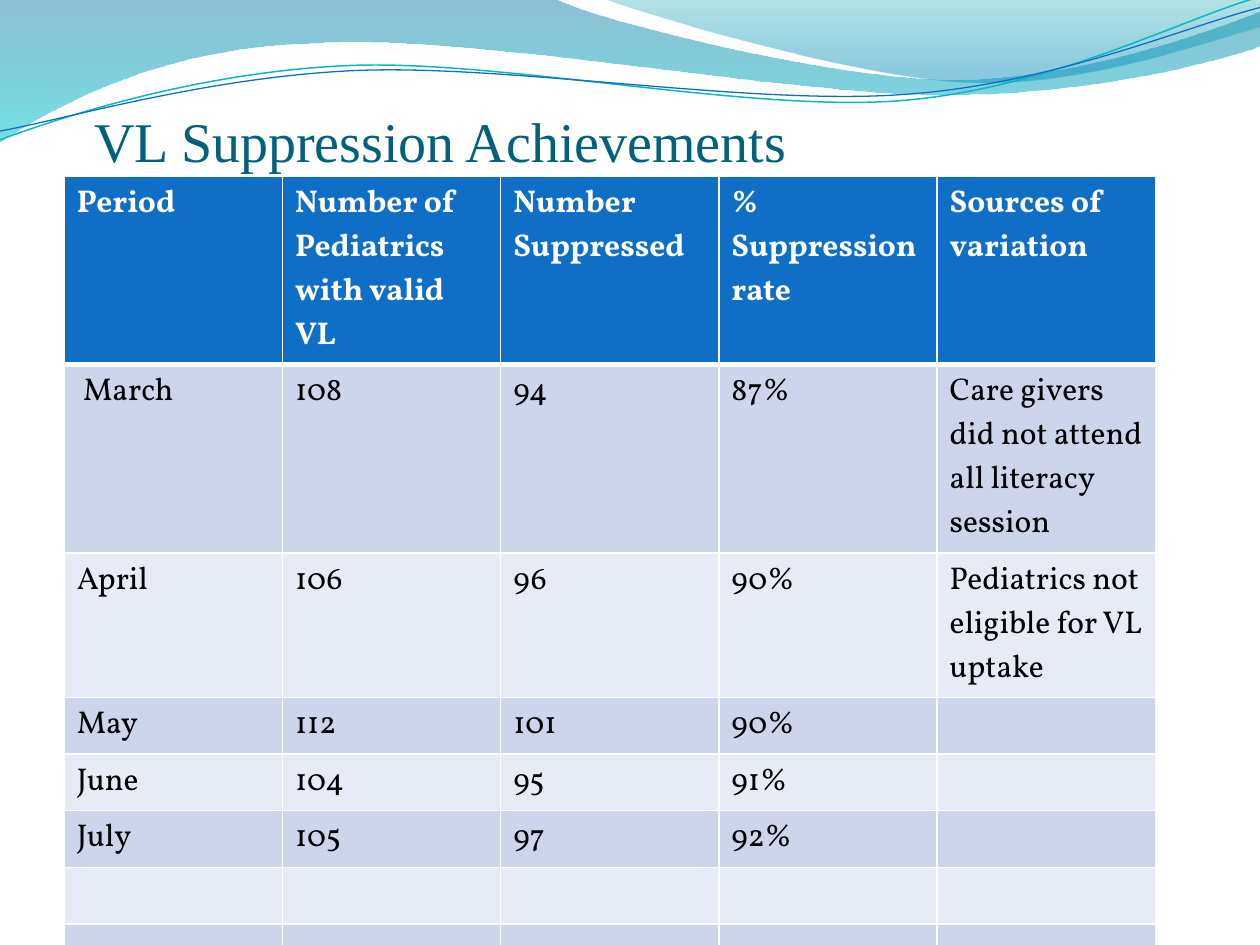
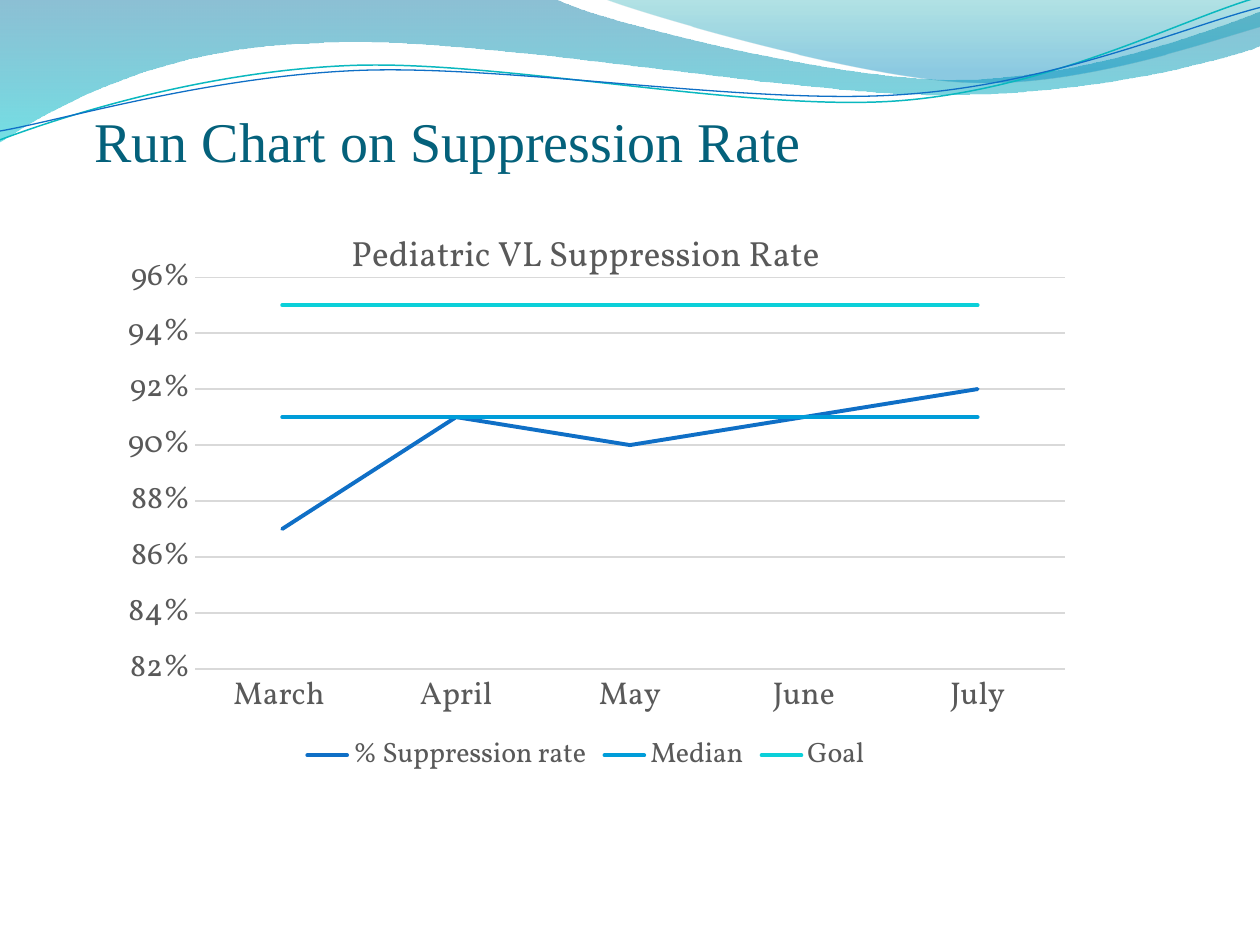
"""Build two slides on viral load suppression: a results table and a run chart."""
from dataclasses import dataclass
from math import cos, radians, sin
from typing import NamedTuple

from lxml.etree import SubElement
from pptx import Presentation
from pptx.chart.data import CategoryChartData
from pptx.dml.color import RGBColor
from pptx.enum.chart import XL_CHART_TYPE as ChartType
from pptx.enum.chart import XL_LEGEND_POSITION as LegendPosition
from pptx.enum.chart import XL_TICK_MARK as TickMark
from pptx.enum.text import MSO_ANCHOR, MSO_AUTO_SIZE, PP_ALIGN
from pptx.oxml.ns import qn
from pptx.util import Inches, Pt

Point = tuple[float, float]


@dataclass(frozen=True)
class Theme:
    """Colours, fonts and type sizes."""
    title_font: str = "Times New Roman"
    body_font: str = "Vollkorn"
    title_size: float = 32
    chart_title_size: float = 20
    body_size: float = 18
    legend_size: float = 16
    title: str = "04617B"
    header: str = "0F6FC6"
    white: str = "FFFFFF"
    black: str = "000000"
    bands: tuple[str, str] = ("CCD5EA", "E7EBF5")
    chart_text: str = "595959"
    grid: str = "D9D9D9"


class Stop(NamedTuple):
    """A gradient stop: position and opacity as fractions."""
    position: float
    color: str
    opacity: float


class Wave(NamedTuple):
    """A top-band outline; steps hold one end point or three curve points."""
    start: Point
    steps: list[tuple[Point, ...]]
    stops: tuple[Stop, ...] = ()
    line: str = ""
    weight: float = 0
    center: Point = (0, 0)
    tilt: float = 0


class Series(NamedTuple):
    """A chart line."""
    name: str
    values: tuple[float, ...]
    color: str


THEME = Theme()

WAVES = [
    Wave((0, 0), [
        ((4.4, -0.01),),
        ((4.76, 0.17), (6.64, 0.63), (7.58, 0.63)),
        ((8.53, 0.63), (9.58, 0.26), (10, 0.09)),
        ((10.01, 0.36),),
        ((9.83, 0.44), (8.7, 0.76), (7.46, 0.75)),
        ((6.22, 0.75), (3.82, 0.28), (2.57, 0.34)),
        ((1.29, 0.36), (0.46, 0.83), (-0.01, 1.13)),
        ((0, 0),),
    ], stops=(Stop(0, "0074A1", 0.45), Stop(1, "00C6CF", 0.55))),
    Wave((4.79, -0.01), [
        ((5.09, 0.11), (6.82, 0.62), (7.69, 0.65)),
        ((8.56, 0.69), (9.61, 0.32), (10, 0.21)),
        ((10, 0),),
        ((4.79, -0.01),),
    ], stops=(Stop(0, "00A1A9", 0.3), Stop(0.8, "008BBF", 0.45))),
    Wave((0, 1.11), [
        ((0.48, 0.93), (1.58, 0.57), (2.77, 0.52)),
        ((3.95, 0.47), (5.93, 0.89), (7.13, 0.8)),
        ((8.33, 0.71), (9.38, 0.15), (9.98, -0.02)),
    ], line="0AB8BF", weight=0.85, center=(4.99, 0.58), tilt=-2.7),
    Wave((0, 1.04), [
        ((0.47, 0.96), (1.64, 0.61), (2.83, 0.56)),
        ((4.03, 0.51), (5.97, 0.84), (7.17, 0.75)),
        ((8.36, 0.67), (9.41, 0.21), (10, 0.06)),
    ], line="0F6FC6", weight=0.75, center=(5, 0.59), tilt=-2.7),
]

HEADER = ("Period", "Number of Pediatrics with valid VL", "Number Suppressed",
          "% Suppression rate", "Sources of variation")
RESULTS = [
    (" March", "108", "94", "87%", "Care givers did not attend all literacy session"),
    ("April", "106", "96", "90%", "Pediatrics not eligible for VL uptake"),
    ("May", "112", "101", "90%", ""),
    ("June", "104", "95", "91%", ""),
    ("July", "105", "97", "92%", ""),
    ("",) * 5,
    ("",) * 5,
]
ROW_HEIGHTS = [1.48, 1.49, 1.14] + [0.45] * 5
TABLE_WIDTH = Inches(8.66)

MONTHS = ("March ", "April", "May", "June", "July")
SERIES = [
    Series("% Suppression rate", (0.87, 0.91, 0.9, 0.91, 0.92), "0F6FC6"),
    Series("Median", (0.91,) * 5, "009DD9"),
    Series("Goal", (0.95,) * 5, "0BD0D9"),
]
CHART_WIDTH, CHART_HEIGHT = 7.8, 4.57
PLOT_AREA = {"x": 0.8 / CHART_WIDTH, "y": 0.58 / CHART_HEIGHT,
             "w": 6.9 / CHART_WIDTH, "h": 3.11 / CHART_HEIGHT}


def rgb(color: str) -> RGBColor:
    return RGBColor.from_string(color)


def set_font(font, name: str, size: float, color: str, bold: bool = False) -> None:
    font.name, font.size, font.bold = name, Pt(size), bold
    font.color.rgb = rgb(color)


def set_line(line, color: str, weight: float) -> None:
    line.color.rgb = rgb(color)
    line.width = Pt(weight)


def level_point(point: Point, wave: Wave) -> tuple[int, int]:
    """Undo the tilt of a wave about its center."""
    angle = radians(-wave.tilt)
    x, y = point[0] - wave.center[0], point[1] - wave.center[1]
    return (Inches(wave.center[0] + x * cos(angle) - y * sin(angle)),
            Inches(wave.center[1] + x * sin(angle) + y * cos(angle)))


def bend_segments(shape, wave: Wave) -> None:
    """Join the straight segments of each curved step into one cubic curve."""
    outline = next(shape.element.iter(qn("a:path")))
    segments = iter(outline.findall(qn("a:lnTo")))
    for step in wave.steps:
        parts = [next(segments) for _ in step]
        if len(parts) == 3:
            curve = outline.makeelement(qn("a:cubicBezTo"))
            parts[0].addprevious(curve)
            for part in parts:
                curve.append(part[0])
                outline.remove(part)


def fill_gradient(shape, stops: tuple[Stop, ...]) -> None:
    """Fill from top to bottom with translucent stops."""
    shape.fill.gradient()
    shape.fill.gradient_angle = 270
    for target, stop in zip(shape.fill.gradient_stops, stops):
        target.position = stop.position
        target.color.rgb = rgb(stop.color)
    gradient = shape.element.spPr.find(qn("a:gradFill"))
    for color, stop in zip(gradient.iter(qn("a:srgbClr")), stops):
        SubElement(color, qn("a:alpha"), val=str(round(stop.opacity * 100000)))


def draw_wave(slide, wave: Wave) -> None:
    points = [wave.start, *(point for step in wave.steps for point in step)]
    vertices = [level_point(point, wave) for point in points]
    builder = slide.shapes.build_freeform(*vertices[0])
    builder.add_line_segments(vertices[1:], close=bool(wave.stops))
    shape = builder.convert_to_shape()
    bend_segments(shape, wave)
    shape.rotation = wave.tilt
    shape.shadow.inherit = False
    if wave.stops:
        fill_gradient(shape, wave.stops)
        shape.line.fill.background()
    else:
        shape.fill.background()
        set_line(shape.line, wave.line, wave.weight)


def add_titled_slide(presentation, text: str):
    """Add a slide with the wave band and its title."""
    slide = presentation.slides.add_slide(presentation.slide_layouts[5])
    for wave in WAVES:
        draw_wave(slide, wave)
    title = slide.shapes.title
    slide.shapes.element.append(title.element)
    title.left, title.top = Inches(0.75), Inches(0.68)
    title.width, title.height = Inches(9), Inches(0.7)
    frame = title.text_frame
    frame.text = text
    frame.auto_size = MSO_AUTO_SIZE.NONE
    frame.vertical_anchor = MSO_ANCHOR.BOTTOM
    frame.margin_left = frame.margin_right = frame.margin_bottom = 0
    frame.margin_top = Inches(0.05)
    paragraph = frame.paragraphs[0]
    paragraph.alignment = PP_ALIGN.LEFT
    set_font(paragraph.font, THEME.title_font, THEME.title_size, THEME.title)
    return slide


def set_borders(cell, top: float, bottom: float) -> None:
    """Draw white borders; weights are in points."""
    properties = cell.fill and next(cell.text_frame._txBody.getparent().iter(qn("a:tcPr")))
    for side, weight in (("L", 1), ("R", 1), ("T", top), ("B", bottom)):
        border = SubElement(properties, qn(f"a:ln{side}"), w=str(Pt(weight)))
        SubElement(SubElement(border, qn("a:solidFill")), qn("a:srgbClr"), val=THEME.white)


def add_results_table(slide) -> None:
    rows = [HEADER, *RESULTS]
    table = slide.shapes.add_table(
        len(rows), len(HEADER), Inches(0.51), Inches(1.4),
        TABLE_WIDTH, Inches(sum(ROW_HEIGHTS))).table
    for index, (values, height) in enumerate(zip(rows, ROW_HEIGHTS)):
        is_header = index == 0
        table.rows[index].height = Inches(height)
        for cell, value in zip(table.rows[index].cells, values):
            cell.text = value
            set_borders(cell, 3 if index == 1 else 1, 3 if is_header else 1)
            cell.fill.solid()
            cell.fill.fore_color.rgb = rgb(
                THEME.header if is_header else THEME.bands[(index - 1) % 2])
            set_font(cell.text_frame.paragraphs[0].font, THEME.body_font, THEME.body_size,
                     THEME.white if is_header else THEME.black, is_header)


def place_plot_area(chart) -> None:
    """Fix the inner plot area as fractions of the chart."""
    plot_area = chart.element.chart.plotArea
    for old in plot_area.findall(qn("c:layout")):
        plot_area.remove(old)
    layout = plot_area.makeelement(qn("c:layout"))
    plot_area.insert(0, layout)
    manual = SubElement(layout, qn("c:manualLayout"))
    settings = {"layoutTarget": "inner", "xMode": "edge", "yMode": "edge", **PLOT_AREA}
    for name, value in settings.items():
        SubElement(manual, qn(f"c:{name}"), val=str(value))


def style_axes(chart) -> None:
    category_axis, value_axis = chart.category_axis, chart.value_axis
    for axis in (category_axis, value_axis):
        axis.major_tick_mark = axis.minor_tick_mark = TickMark.NONE
        set_font(axis.tick_labels.font, THEME.body_font, THEME.body_size, THEME.chart_text)
    set_line(category_axis.format.line, THEME.grid, 0.75)
    value_axis.format.line.fill.background()
    value_axis.minimum_scale, value_axis.maximum_scale = 0.82, 0.96
    value_axis.major_unit = 0.02
    set_line(value_axis.major_gridlines.format.line, THEME.grid, 0.75)
    value_axis.tick_labels.number_format = "0%"
    value_axis.tick_labels.number_format_is_linked = False


def add_run_chart(slide) -> None:
    data = CategoryChartData(number_format="0%")
    data.categories = MONTHS
    for series in SERIES:
        data.add_series(series.name, series.values)
    chart = slide.shapes.add_chart(ChartType.LINE, Inches(0.75), Inches(1.62),
                                   Inches(CHART_WIDTH), Inches(CHART_HEIGHT), data).chart
    set_font(chart.font, THEME.body_font, 10, THEME.black)
    chart.has_title = True
    frame = chart.chart_title.text_frame
    frame.text = "Pediatric VL Suppression Rate"
    set_font(frame.paragraphs[0].font, THEME.body_font, THEME.chart_title_size,
             THEME.chart_text)
    chart.has_legend = True
    chart.legend.position = LegendPosition.BOTTOM
    chart.legend.include_in_layout = False
    set_font(chart.legend.font, THEME.body_font, THEME.legend_size, THEME.chart_text)
    style_axes(chart)
    place_plot_area(chart)
    chart.plots[0].vary_by_categories = False
    for line, series in zip(chart.plots[0].series, SERIES):
        line.smooth = False
        set_line(line.format.line, series.color, 2.25)
    for series_element in chart.element.iter(qn("c:ser")):
        next(series_element.iter(qn("a:ln"))).set("cap", "rnd")


def main() -> None:
    presentation = Presentation()
    presentation.slide_width, presentation.slide_height = Inches(10), Inches(7.5)
    add_results_table(add_titled_slide(presentation, "VL Suppression Achievements"))
    add_run_chart(add_titled_slide(presentation, "Run Chart on Suppression Rate"))
    presentation.save("out.pptx")


if __name__ == "__main__":
    main()
